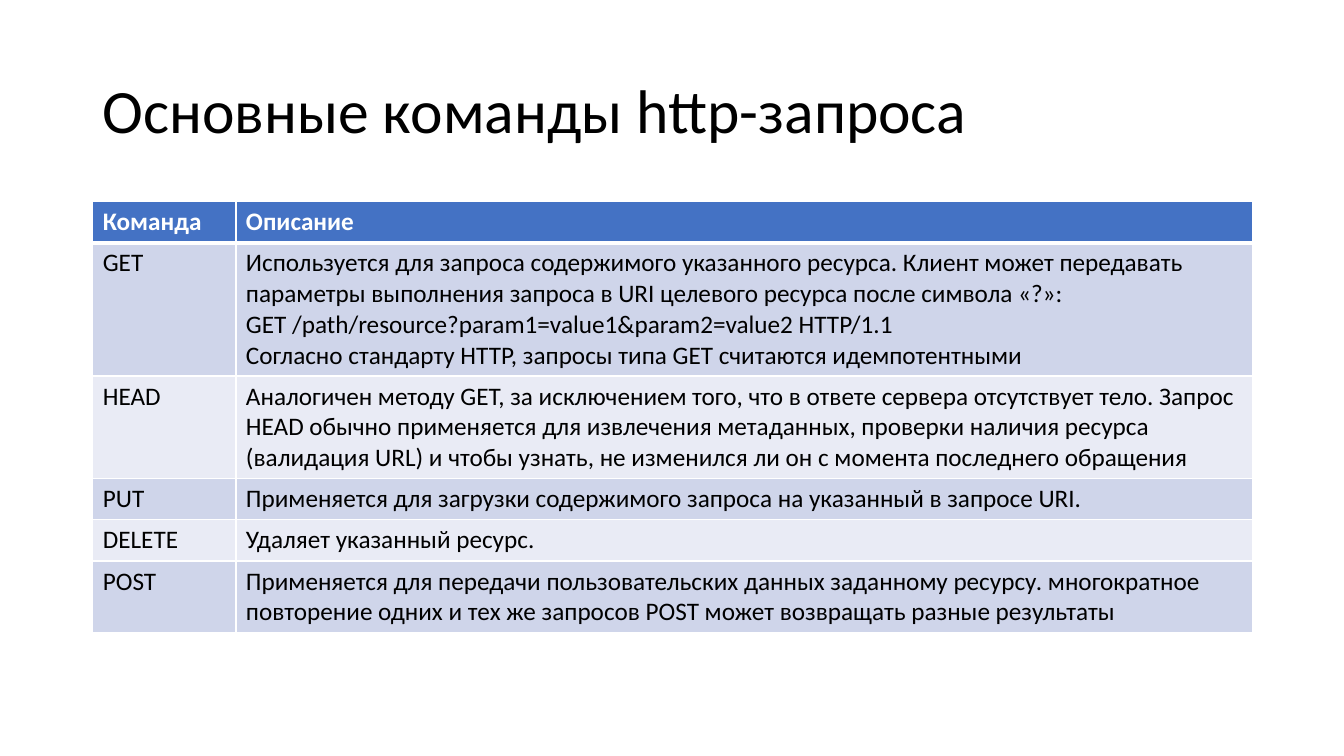
import pptx
import pptx.dml.color
import pptx.enum.text
import pptx.oxml
import pptx.oxml.ns
import pptx.util
from dataclasses import dataclass

# Content
TITLE = "Основные команды http-запроса"
HEADER = ("Команда", ["Описание"])
COMMANDS = [
    ("GET", [
        "Используется для запроса содержимого указанного ресурса. Клиент может передавать "
        "параметры выполнения запроса в URI целевого ресурса после символа «?»:",
        "GET /path/resource?param1=value1&param2=value2 HTTP/1.1",
        "Согласно стандарту HTTP, запросы типа GET считаются идемпотентными",
    ]),
    ("HEAD", [
        "Аналогичен методу GET, за исключением того, что в ответе сервера отсутствует тело. "
        "Запрос HEAD обычно применяется для извлечения метаданных, проверки наличия ресурса "
        "(валидация URL) и чтобы узнать, не изменился ли он с момента последнего обращения",
    ]),
    ("PUT", ["Применяется для загрузки содержимого запроса на указанный в запросе URI."]),
    ("DELETE", ["Удаляет указанный ресурс."]),
    ("POST", [
        "Применяется для передачи пользовательских данных заданному ресурсу. многократное "
        "повторение одних и тех же запросов POST может возвращать разные результаты",
    ]),
]


@dataclass(frozen=True)
class Theme:
    font: str = "Calibri"
    title_size: int = 44
    table_size: int = 18
    text: str = "000000"
    header_text: str = "FFFFFF"
    header_fill: str = "4472C4"
    band_fills: tuple = ("CFD5EA", "E9EBF5")
    border: str = "FFFFFF"


THEME = Theme()

# Layout in px, 100 px to the inch
PX = 9144
SLIDE_SIZE = (1333, 750)
TITLE_BOX = (92, 40, 1150, 145)
TABLE_LEFT, TABLE_TOP = 92, 200
COLUMN_WIDTHS = (142, 1008)
ROW_HEIGHT = 41


def px(*lengths):
    return [pptx.util.Emu(length * PX) for length in lengths]


def rgb(color):
    return pptx.dml.color.RGBColor.from_string(color)


def format_text(text_frame, size, color, bold=False):
    for paragraph in text_frame.paragraphs:
        for run in paragraph.runs:
            run.font.name = THEME.font
            run.font.size = pptx.util.Pt(size)
            run.font.bold = bold
            run.font.color.rgb = rgb(color)


def add_borders(cell, bottom_width, top_width):
    widths = {"lnL": 1, "lnR": 1, "lnT": top_width, "lnB": bottom_width}
    properties = cell._tc.get_or_add_tcPr()
    for side, width in widths.items():
        properties.append(pptx.oxml.parse_xml(
            f'<a:{side} {pptx.oxml.ns.nsdecls("a")} w="{pptx.util.Pt(width)}">'
            f'<a:solidFill><a:srgbClr val="{THEME.border}"/></a:solidFill></a:{side}>'))


def add_title(slide):
    title = slide.shapes.title
    title.left, title.top, title.width, title.height = px(*TITLE_BOX)
    frame = title.text_frame
    frame.text = TITLE
    frame.word_wrap = True
    frame.auto_size = pptx.enum.text.MSO_AUTO_SIZE.NONE
    frame.vertical_anchor = pptx.enum.text.MSO_ANCHOR.MIDDLE
    frame.paragraphs[0].alignment = pptx.enum.text.PP_ALIGN.LEFT
    frame.paragraphs[0].line_spacing = 0.9
    format_text(frame, THEME.title_size, THEME.text)


def add_command_table(slide):
    rows = [HEADER] + COMMANDS
    box = px(TABLE_LEFT, TABLE_TOP, sum(COLUMN_WIDTHS), ROW_HEIGHT * len(rows))
    table = slide.shapes.add_table(len(rows), len(COLUMN_WIDTHS), *box).table
    for column, width in zip(table.columns, px(*COLUMN_WIDTHS)):
        column.width = width

    for row_index, (command, description) in enumerate(rows):
        is_header = row_index == 0
        fill = THEME.header_fill if is_header else THEME.band_fills[(row_index - 1) % 2]
        color = THEME.header_text if is_header else THEME.text
        for column_index, lines in enumerate(([command], description)):
            cell = table.cell(row_index, column_index)
            cell.text_frame.text = "\n".join(lines)
            format_text(cell.text_frame, THEME.table_size, color, is_header)
            add_borders(cell, 3 if is_header else 1, 3 if row_index == 1 else 1)
            cell.fill.solid()
            cell.fill.fore_color.rgb = rgb(fill)


def main():
    presentation = pptx.Presentation()
    presentation.slide_width, presentation.slide_height = px(*SLIDE_SIZE)
    slide = presentation.slides.add_slide(presentation.slide_layouts.get_by_name("Title Only"))
    add_title(slide)
    add_command_table(slide)
    presentation.save("out.pptx")


if __name__ == "__main__":
    main()
